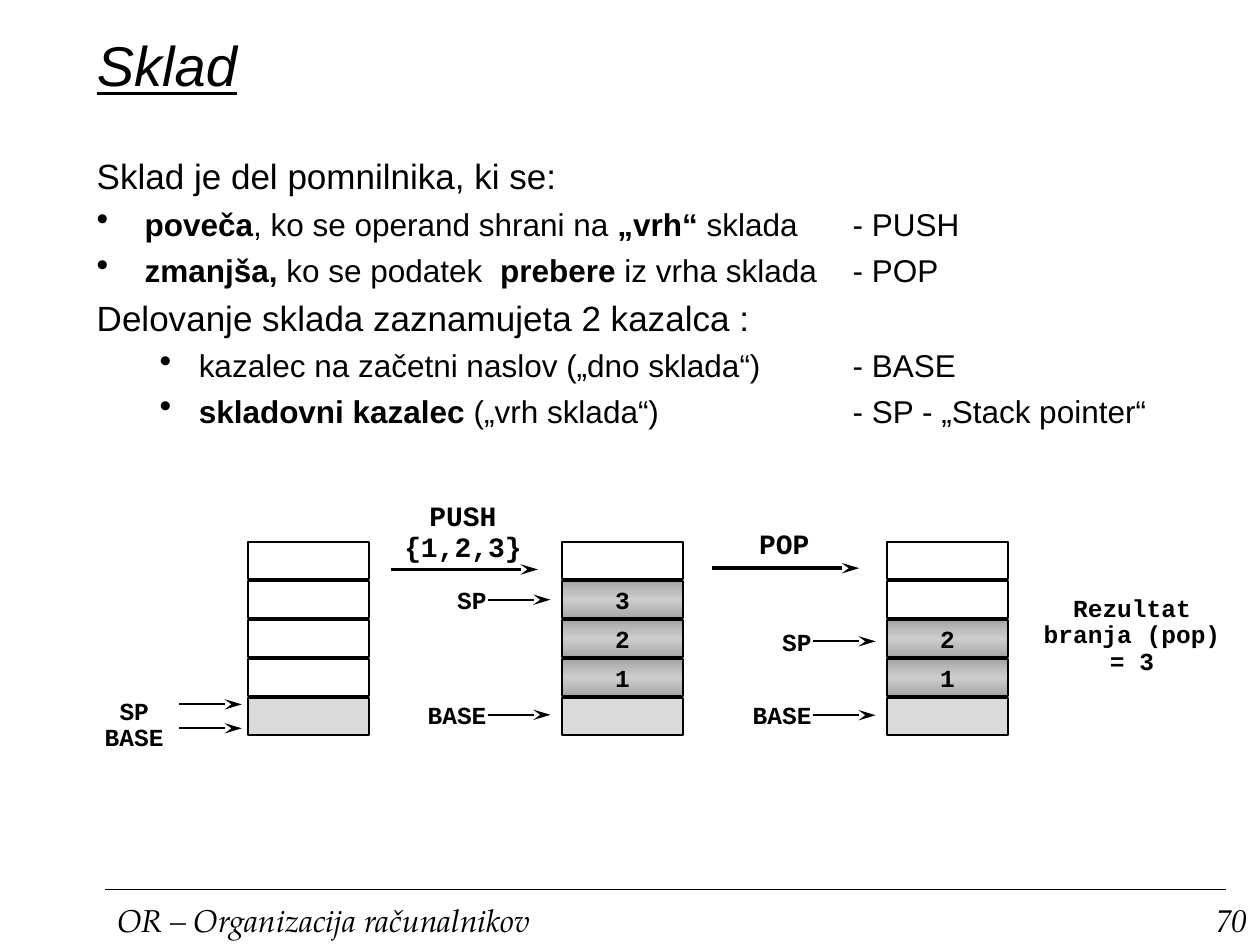
from copy import deepcopy

from pptx import Presentation
from pptx.dml.color import RGBColor
from pptx.enum import shapes, text
from pptx.oxml import ns, parse_xml
from pptx.util import Pt

BLACK, GREY, DARK, LIGHT = "000000", "DADADA", "A5A5A5", "CECECE"
SANS, MONO, SERIF = "Arial", "Courier New", "TeX Gyre Pagella"
LEFT, MID, RIGHT = text.PP_ALIGN.LEFT, text.PP_ALIGN.CENTER, text.PP_ALIGN.RIGHT

# level, then (words, bold) runs
BODY = [
    (0, [("Sklad je del pomnilnika, ki se:", False)]),
    (1, [("poveča", True), (", ko se operand shrani na ", False),
         ("„vrh“ ", True), ("sklada\t- PUSH", False)]),
    (1, [("zmanjša,", True), (" ko se podatek  ", False),
         ("prebere ", True), ("iz vrha sklada\t- POP", False)]),
    (0, [("Delovanje sklada zaznamujeta 2 kazalca :", False)]),
    (2, [("kazalec na začetni naslov („dno sklada“)\t- BASE", False)]),
    (2, [("skladovni kazalec", True),
         (" („vrh sklada“)\t- SP - „Stack pointer“", False)]),
]
# level: font size, left margin, hanging indent
LEVELS = {0: (20, 0, 0), 1: (18, 27.4, 27.4), 2: (18, 58.3, 22.3)}
TAB = 432

# left edge, values from the top cell down (the last cell is the base)
STACKS = [
    (141.8, ["", "", "", "", ""]),
    (321.1, ["", "3", "2", "1", ""]),
    (506.9, ["", "", "2", "1", ""]),
]
TOP, STEP, CELL_W, CELL_H = 309.6, 22.3, 69.1, 21.4

# words, left, top, width, height, size, alignment
LABELS = [
    ("SP\vBASE", 49.7, 396, 54, 37.4, 14, MID),
    ("PUSH {1,2,3}", 217.4, 283.7, 94.3, 41.8, 16, MID),
    ("POP", 401, 299.5, 94.3, 24.5, 16, MID),
    ("BASE", 231.1, 398.2, 54, 22.3, 14, RIGHT),
    ("SP", 231.1, 332.6, 54, 22.3, 14, RIGHT),
    ("BASE", 416.9, 398.2, 54, 22.3, 14, RIGHT),
    ("SP", 416.9, 356.4, 54, 22.3, 14, RIGHT),
    ("Rezultat branja (pop) = 3", 583.9, 337, 126, 53.3, 14, MID),
]
# left, y, length, weight
ARROWS = [
    (102.2, 402.5, 36, 1), (102.2, 416.2, 36, 1),
    (223.2, 325.4, 84.2, 2), (406.8, 324.7, 84.2, 2),
    (278.6, 342.7, 36, 1), (278.6, 408.5, 36, 1),
    (464.4, 366.5, 36, 1), (464.4, 408.7, 36, 1),
]
FOOT = [
    ("OR – Organizacija računalnikov", 59.8, 263.5, LEFT),
    ("70", 624.2, 95.8, RIGHT),
]


def color(code):
    return RGBColor.from_string(code)


def style(par, name, size, **form):
    for run in par.runs:
        for key, val in dict(name=name, size=Pt(size), **form).items():
            setattr(run.font, key, val)
        run.font.color.rgb = color(BLACK)


def add_box(left, top, width, height):
    frame = slide.shapes.add_textbox(
        Pt(left), Pt(top), Pt(width), Pt(height)).text_frame
    frame.word_wrap = True
    return frame


def add_label(words, left, top, width, height, size, align):
    par = add_box(left, top, width, height).paragraphs[0]
    par.text = words
    par.alignment, par.line_spacing = align, 0.9
    style(par, MONO, size, bold=True)


def add_line(left, y, length, weight, head=False):
    line = slide.shapes.add_connector(
        shapes.MSO_CONNECTOR.STRAIGHT,
        Pt(left), Pt(y), Pt(left + length), Pt(y))
    line.line.color.rgb = color(BLACK)
    line.line.width = Pt(weight)
    if head:
        line.line._get_or_add_ln().append(parse_xml(
            f'<a:tailEnd {ns.nsdecls("a")} type="stealth" w="med" len="lg"/>'))
    line.element.spPr.append(
        parse_xml(f'<a:effectLst {ns.nsdecls("a")}/>'))


def shade(cell):
    """Fill the cell with a vertical dark-light-dark gradient."""
    cell.fill.gradient()
    cell.fill.gradient_angle = 90
    stops = cell.element.spPr.find(".//" + ns.qn("a:gsLst"))
    stops.append(deepcopy(stops[0]))
    for stop, (pos, code) in zip(
            cell.fill.gradient_stops, [(0, DARK), (0.5, LIGHT), (1, DARK)]):
        stop.position = pos
        stop.color.rgb = color(code)


def add_stack(left, values):
    for row, value in enumerate(values):
        cell = slide.shapes.add_shape(
            shapes.MSO_SHAPE.RECTANGLE, Pt(left), Pt(TOP + row * STEP),
            Pt(CELL_W), Pt(CELL_H))
        cell.shadow.inherit = False
        cell.line.color.rgb = color(BLACK)
        cell.line.width = Pt(1)
        if value:
            shade(cell)
            frame = cell.text_frame
            frame.margin_top = frame.margin_bottom = 0
            par = frame.paragraphs[0]
            par.text, par.alignment = value, MID
            style(par, MONO, 14, bold=True)
        elif row == len(values) - 1:
            cell.fill.solid()
            cell.fill.fore_color.rgb = color(GREY)
        else:
            cell.fill.background()


def add_body():
    frame = add_box(48.2, 85, 647.3, 160)
    for num, (level, runs) in enumerate(BODY):
        par = frame.add_paragraph() if num else frame.paragraphs[0]
        size, margin, hang = LEVELS[level]
        if num:
            par.space_before = Pt(4.5)
        props = par._p.get_or_add_pPr()
        props.set("marL", str(Pt(margin)))
        props.set("indent", str(-Pt(hang)))
        marks = ['<a:buSzPct {} val="110000"/>', '<a:buChar {} char="•"/>',
                 f'<a:tabLst {{}}><a:tab pos="{Pt(TAB)}" algn="l"/></a:tabLst>']
        for mark in marks if level else []:
            props.append(parse_xml(mark.format(ns.nsdecls("a"))))
        for words, bold in runs:
            run = par.add_run()
            run.text, run.font.bold = words, bold
        style(par, SANS, size)


deck = Presentation()
deck.slide_width, deck.slide_height = Pt(720), Pt(540)
slide = deck.slides.add_slide(deck.slide_layouts[5])

title = slide.shapes.title
title.left, title.top, title.width, title.height = map(
    Pt, (48.2, 15.1, 640.8, 44.6))
title.text_frame.text = "Sklad"
title.text_frame.auto_size = text.MSO_AUTO_SIZE.NONE
title.text_frame.vertical_anchor = text.MSO_ANCHOR.BOTTOM
title.text_frame.paragraphs[0].alignment = LEFT
style(title.text_frame.paragraphs[0], SANS, 32, italic=True, underline=True)

add_body()
for stack in STACKS:
    add_stack(*stack)
for label in LABELS:
    add_label(*label)
for arrow in ARROWS:
    add_line(*arrow, head=True)

add_line(59.8, 508.3, 640.8, 1)
for words, left, width, align in FOOT:
    par = add_box(left, 511.2, width, 28.8).paragraphs[0]
    par.text, par.alignment = words, align
    style(par, SERIF, 18, italic=True)

deck.save("out.pptx")
